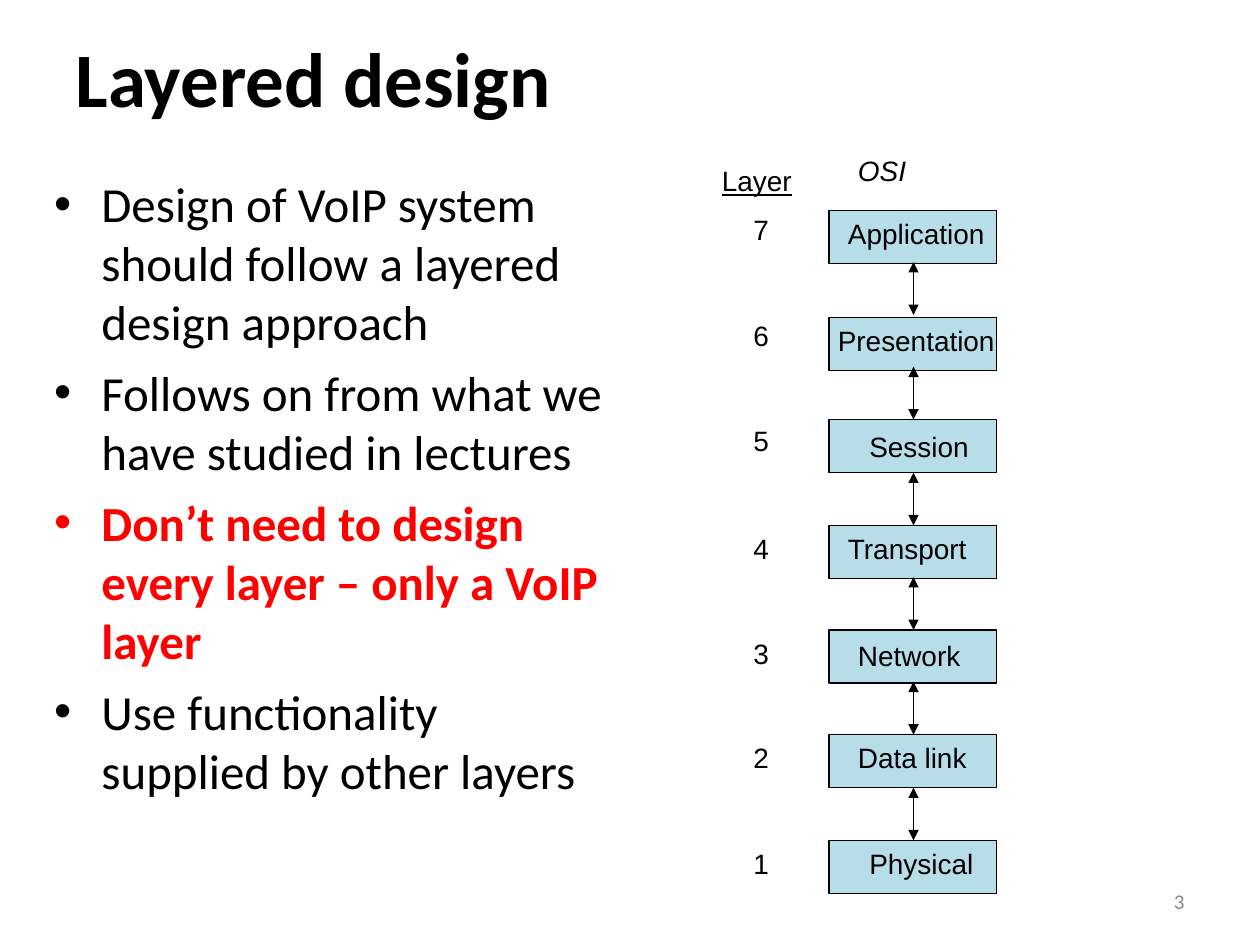
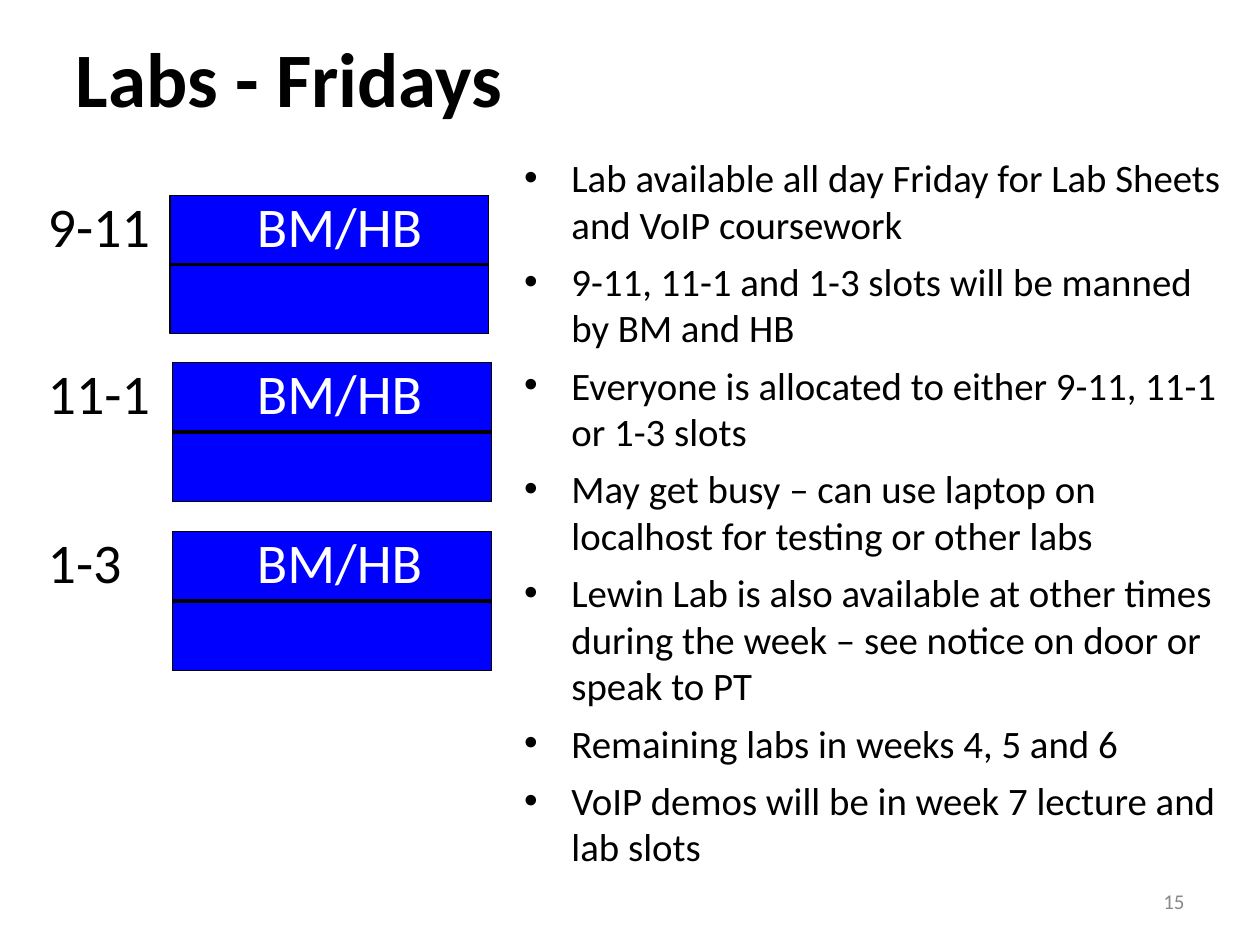
from lxml import etree
from pptx import Presentation
from pptx.dml.color import RGBColor
from pptx.enum.shapes import MSO_CONNECTOR, MSO_SHAPE
from pptx.enum.text import MSO_ANCHOR, MSO_AUTO_SIZE, PP_ALIGN
from pptx.oxml.ns import qn
from pptx.util import Pt

PX = 9144  # 100 px to the inch
RECT, LINE = MSO_SHAPE.RECTANGLE, MSO_CONNECTOR.STRAIGHT
LEFT, RIGHT = PP_ALIGN.LEFT, PP_ALIGN.RIGHT
TOP, MIDDLE = MSO_ANCHOR.TOP, MSO_ANCHOR.MIDDLE
FIXED = MSO_AUTO_SIZE.NONE

BLACK, WHITE, RED, GREY = "000000", "FFFFFF", "FF0000", "898989"
PALE, BLUE = "B7DEE8", "0000FF"
TITLE = {"name": "Calibri", "size": Pt(44), "bold": True}
PAGE = {"name": "Calibri", "size": Pt(12)}
LABEL = {"name": "Arial", "size": Pt(16)}
SLOT = {"name": "Calibri", "size": Pt(32)}


def paint(color, tone):
    color.rgb = RGBColor.from_string(tone)


def write(box, at, lines, form, tone=BLACK, align=LEFT, anchor=TOP, gap=0):
    """Place a text shape and fill it with one paragraph per line."""
    box.left, box.top, box.width, box.height = [n * PX for n in at]
    frame = box.text_frame
    frame.word_wrap = True
    frame.auto_size = FIXED
    frame.vertical_anchor = anchor
    frame.text = "\n".join(lines)
    for par in frame.paragraphs:
        par.alignment = align
        par.space_before = Pt(gap)
        font = par.runs[0].font
        for key, value in form.items():
            setattr(font, key, value)
        paint(font.color, tone)
    return frame


deck = Presentation()
deck.slide_width, deck.slide_height = 1000 * PX, 750 * PX

# Title, bullet list and page number of each slide
pages = [
    ("Layered design", "3", (33, 133, 467, 533), 28, 7, [
        "Design of VoIP system should follow a layered design approach",
        "Follows on from what we have studied in lectures",
        "Don’t need to design every layer – only a VoIP layer",
        "Use functionality supplied by other layers",
    ]),
    ("Labs - Fridays", "15", (406, 117, 575, 592), 22.2, 6, [
        "Lab available all day Friday for Lab Sheets and VoIP coursework",
        "9-11, 11-1 and 1-3 slots will be manned by BM and HB",
        "Everyone is allocated to either 9-11, 11-1 or 1-3 slots",
        "May get busy – can use laptop on localhost for testing or other labs",
        "Lewin Lab is also available at other times during the week"
        " – see notice on door or speak to PT",
        "Remaining labs in weeks 4, 5 and 6",
        "VoIP demos will be in week 7 lecture and lab slots",
    ]),
]
lists = []
for title, page, at, size, gap, points in pages:
    slide = deck.slides.add_slide(deck.slide_layouts[1])
    write(slide.shapes.title, (50, 17, 900, 88), [title], TITLE, anchor=MIDDLE)
    form = {"name": "Calibri", "size": Pt(size)}
    lists.append(write(slide.placeholders[1], at, points, form, gap=gap))
    foot = slide.shapes.add_textbox(0, 0, 0, 0)
    write(foot, (717, 695, 233, 40), [page], PAGE, GREY, RIGHT, MIDDLE)

# The key point of the first list
key = lists[0].paragraphs[2].runs[0].font
key.bold = True
paint(key.color, RED)

osi, labs = deck.slides

# OSI layers: name, box top, label left, label top, label width, number top
layers = [
    ("Application", 167, 650, 167, 142, 164),
    ("Presentation", 252, 642, 252, 167, 248),
    ("Session", 333, 667, 336, 117, 331),
    ("Transport", 417, 650, 417, 142, 417),
    ("Network", 500, 658, 502, 150, 500),
    ("Data link", 583, 658, 583, 133, 583),
    ("Physical", 667, 667, 667, 117, 667),
]
# Lab slots: hours, box left, box top
slots = [("9-11", 135, 155), ("11-1", 137, 288), ("1-3", 137, 422)]

# Boxes
boxes = [(osi, (658, row[1], 133, 42), PALE) for row in layers]
boxes += [(labs, (x, y, 253, 110), BLUE) for _, x, y in slots]
for slide, at, tone in boxes:
    box = slide.shapes.add_shape(RECT, *[n * PX for n in at])
    box.shadow.inherit = False
    box.fill.solid()
    paint(box.fill.fore_color, tone)
    paint(box.line.color, BLACK)
    box.line.width = Pt(0.75)

# Arrows between layers, and the bar across each slot
links = []
for step in range(len(layers) - 1):
    top = 208 + round(step * 250 / 3)
    links.append((osi, (725, top, 725, top + 42), 0.75, True))
links += [(labs, (x, y + 55, x + 253, y + 55), 2, False) for _, x, y in slots]
for slide, ends, width, heads in links:
    link = slide.shapes.add_connector(LINE, *[n * PX for n in ends])
    paint(link.line.color, BLACK)
    link.line.width = Pt(width)
    props = link._element.spPr
    if heads:
        for end in ("a:headEnd", "a:tailEnd"):
            etree.SubElement(props.find(qn("a:ln")), qn(end), type="triangle")
    etree.SubElement(props, qn("a:effectLst"))

# Layer names, numbers and column heads
notes = [
    ("OSI", (658, 117, 117, 37), {"italic": True}),
    ("Layer", (550, 125, 100, 37), {"underline": True}),
]
for step, (name, _, left, top, width, mark) in enumerate(layers):
    notes.append((name, (left, top, width, 37), {}))
    notes.append((str(7 - step), (575, mark, 58, 37), {}))
for words, at, extra in notes:
    box = osi.shapes.add_textbox(0, 0, 0, 0)
    frame = write(box, at, [words], LABEL | extra)
    frame.margin_left, frame.margin_right = 23 * PX, 0

# Slot hours and staff
for hours, _, top in slots:
    for words, left, width, tone in (
        (hours, 28, 101, BLACK),
        ("BM/HB", 194, 151, WHITE),
    ):
        box = labs.shapes.add_textbox(0, 0, 0, 0)
        frame = write(box, (left, top - 8, width, 64), [words], SLOT, tone)
        frame.margin_right = 0

deck.save("out.pptx")
